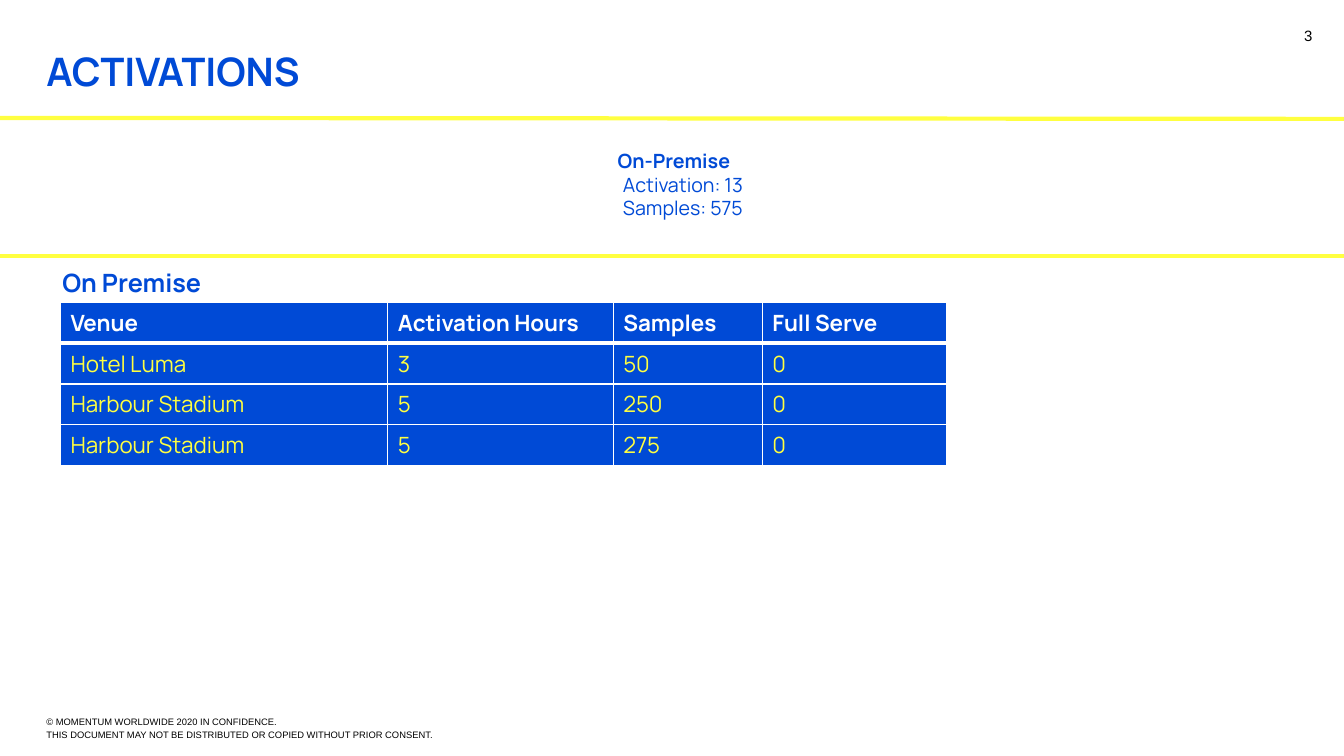
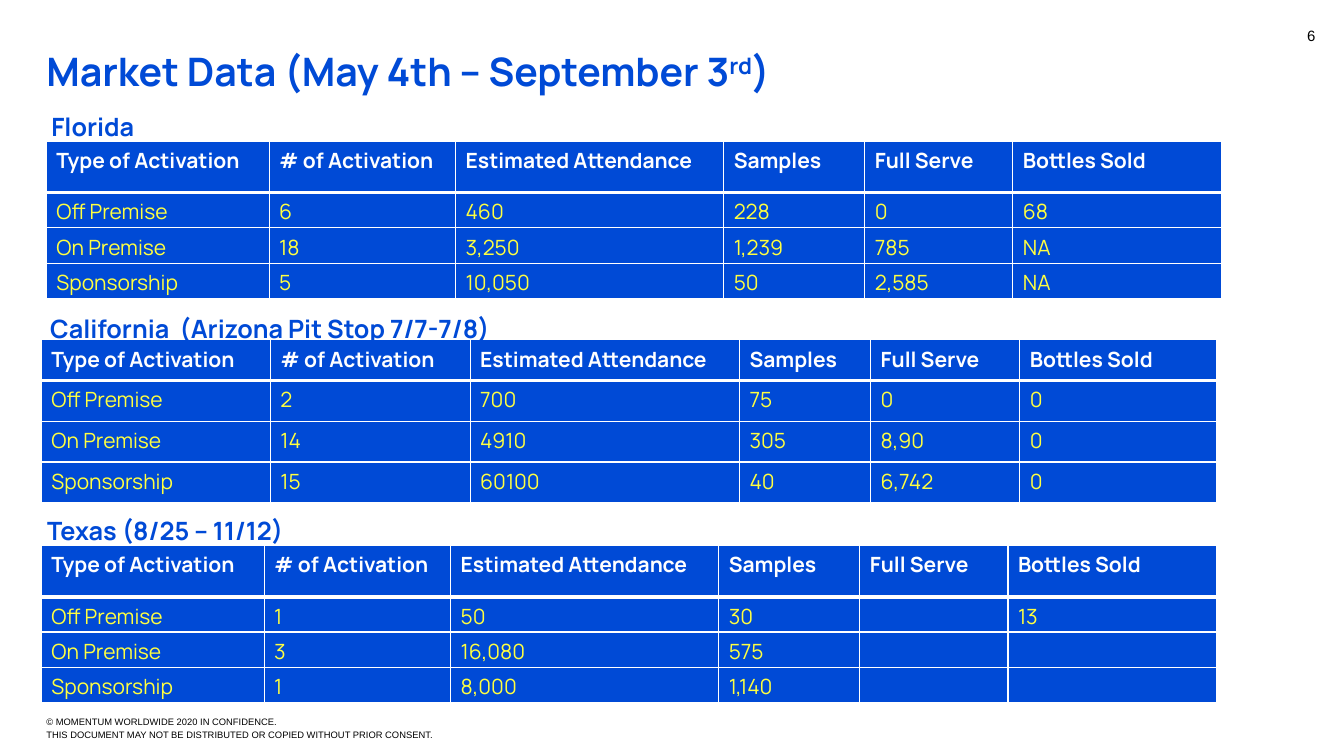
"""Build the activation summary and market data slides."""
import pptx
import pptx.dml.color
import pptx.enum.shapes
import pptx.enum.text
import pptx.oxml
import pptx.oxml.ns
import pptx.util

COLORS = {"blue": "004AD6", "yellow": "FFFF40", "white": "FFFFFF", "black": "000000"}
FONT, SMALL_FONT = "Manrope", "Arial"
WIDTH, HEIGHT = pptx.util.Inches(13.333), pptx.util.Inches(7.5)
ALIGN = pptx.enum.text.PP_ALIGN
ANCHOR = pptx.enum.text.MSO_ANCHOR
MARGIN = 3.45

MARKET_HEADER = ["Type of Activation", "# of Activation", "Estimated Attendance",
                 "Samples", "Full Serve", "Bottles Sold"]
MARKET_COLS = [2.21, 1.85, 2.66, 1.4, 1.47, 2.07]
TALL_HEADER_ROWS = [6.8, 4.67, 4.67, 4.67]
EVEN_ROWS = [5.4] * 4

MARKETS = [
    {"name": "Florida", "name_at": (3.08, 14), "table_at": (MARGIN, 18.67),
     "cols": MARKET_COLS, "rows": TALL_HEADER_ROWS,
     "data": [["Off Premise", "6", "460", "228", "0", "68"],
              ["On Premise", "18", "3,250", "1,239", "785", "NA"],
              ["Sponsorship", "5", "10,050", "50", "2,585", "NA"]]},
    {"name": "California  (Arizona Pit Stop 7/7-7/8)", "name_at": (3, 40.8),
     "table_at": (3.08, 44.93),
     "cols": [2.27, 1.98, 2.67, 1.3, 1.48, 1.95], "rows": EVEN_ROWS,
     "data": [["Off Premise", "2", "700", "75", "0", "0"],
              ["On Premise", "14", "4910", "305", "8,90", "0"],
              ["Sponsorship", "15", "60100", "40", "6,742", "0"]]},
    {"name": "Texas (8/25 – 11/12)", "name_at": (2.78, 67.47), "table_at": (3.08, 72.13),
     "cols": MARKET_COLS, "rows": TALL_HEADER_ROWS,
     "data": [["Off Premise", "1", "50", "30", "", "13"],
              ["On Premise", "3", "16,080", "575", "", ""],
              ["Sponsorship", "1", "8,000", "1,140", "", ""]]},
]


def across(share):
    """Turn a percentage of the slide's width into a length."""
    return int(WIDTH * share / 100)


def down(share):
    """Turn a percentage of the slide's height into a length."""
    return int(HEIGHT * share / 100)


def rgb(name):
    """Look up a named colour."""
    return pptx.dml.color.RGBColor.from_string(COLORS[name])


def add_run(p, text, size, color="blue", bold=False, font=FONT, baseline=0):
    """Append one styled run to a paragraph."""
    r = p.add_run()
    r.text = text
    r.font.size = pptx.util.Pt(size)
    r.font.name = font
    r.font.bold = bold
    r.font.color.rgb = rgb(color)
    if baseline:
        r._r.get_or_add_rPr().set("baseline", str(baseline * 1000))


def add_box(s, x, y, w, h, inset=(0.1, 0.05), anchor=ANCHOR.TOP):
    """Add a wrapping text box and return its text frame."""
    tf = s.shapes.add_textbox(across(x), down(y), across(w), down(h)).text_frame
    tf.word_wrap = True
    tf.vertical_anchor = anchor
    tf.margin_left = tf.margin_right = pptx.util.Inches(inset[0])
    tf.margin_top = tf.margin_bottom = pptx.util.Inches(inset[1])
    return tf


def add_title(s, *parts):
    """Add the slide title from (text, baseline) parts."""
    p = add_box(s, MARGIN, 7.2, 93.15, 13.33, (0, 0)).paragraphs[0]
    p.line_spacing = 0.85
    for text, baseline in parts:
        add_run(p, text, 28, bold=True, baseline=baseline)


def add_footer(s):
    """Add the two-line confidentiality notice."""
    p = add_box(s, MARGIN, 92.8, 30.08, 6.93, (0, 0), ANCHOR.MIDDLE).paragraphs[0]
    p.line_spacing = 1.15
    add_run(p, "© MOMENTUM WORLDWIDE 2020 IN CONFIDENCE.", 6.7, "black", font=SMALL_FONT)
    p.add_line_break()
    add_run(p, "THIS DOCUMENT MAY NOT BE DISTRIBUTED OR COPIED WITHOUT PRIOR CONSENT.",
            6.7, "black", font=SMALL_FONT)


def add_page_number(s, number, inset):
    """Add the page number at the top right."""
    p = add_box(s, 75.9, 2, 22.5, 5.33, inset, ANCHOR.MIDDLE).paragraphs[0]
    p.alignment = ALIGN.RIGHT
    p.space_after = pptx.util.Pt(6)
    add_run(p, number, 10.7, "black", font=SMALL_FONT)


def add_heading(s, text, x, y):
    """Add a heading above a table."""
    p = add_box(s, x, y, 37, 5.33).paragraphs[0]
    add_run(p, text, 18, bold=True)


def add_summary(s, heading, lines):
    """Add the centred totals under a bold heading."""
    tf = add_box(s, 35.33, 18, 29.63, 13.07, (0.13, 0.13))
    p = tf.paragraphs[0]
    p.alignment = ALIGN.CENTER
    add_run(p, heading, 14, bold=True)
    for line in lines:
        p = tf.add_paragraph()
        p.alignment = ALIGN.CENTER
        pPr = p._p.get_or_add_pPr()
        pPr.set("marL", str(pptx.util.Inches(0.18)))
        pPr.set("indent", "0")
        add_run(p, line, 14)


def add_rule(s, y1, y2):
    """Add a yellow line across the slide."""
    sp = s.shapes.add_connector(pptx.enum.shapes.MSO_CONNECTOR.STRAIGHT,
                                0, down(y1), WIDTH, down(y2))
    sp.line.color.rgb = rgb("yellow")
    sp.line.width = pptx.util.Pt(3)
    pptx.oxml.ns.qn("a:effectLst")
    sp._element.spPr.append(pptx.oxml.parse_xml(
        f'<a:effectLst {pptx.oxml.ns.nsdecls("a")}/>'))


def set_borders(cell, top, bottom):
    """Give a cell white borders, with top and bottom widths in points."""
    tcPr = cell._tc.get_or_add_tcPr()
    widths = {"lnL": 1, "lnR": 1, "lnT": top, "lnB": bottom}
    for i, (tag, width) in enumerate(widths.items()):
        tcPr.insert(i, pptx.oxml.parse_xml(
            f'<a:{tag} {pptx.oxml.ns.nsdecls("a")} w="{pptx.util.Pt(width)}">'
            f'<a:solidFill><a:srgbClr val="{COLORS["white"]}"/></a:solidFill></a:{tag}>'))


def fill_cell(cell, text, size, row):
    """Style one table cell; row 0 is the header."""
    cell.fill.solid()
    cell.fill.fore_color.rgb = rgb("blue")
    set_borders(cell, top=3 if row == 1 else 1, bottom=3 if row == 0 else 1)
    p = cell.text_frame.paragraphs[0]
    if text:
        add_run(p, text, size, "yellow" if row else "white", bold=row == 0)
    else:
        p._p.append(pptx.oxml.parse_xml(
            f'<a:endParaRPr {pptx.oxml.ns.nsdecls("a")} sz="{size * 100}">'
            f'<a:latin typeface="{FONT}"/></a:endParaRPr>'))


def add_data_table(s, x, y, w, cols, rows, data, size):
    """Add a table whose columns share the width w in proportion to cols."""
    table = s.shapes.add_table(len(rows), len(cols), across(x), down(y),
                               across(w), down(sum(rows))).table
    for column, weight in zip(table.columns, cols):
        column.width = across(w * weight / sum(cols))
    for i, (height, texts) in enumerate(zip(rows, data)):
        table.rows[i].height = down(height)
        for j, text in enumerate(texts):
            fill_cell(table.cell(i, j), text, size, i)


def add_slide(prs, number, inset, *title):
    """Add a blank slide with the shared title, footer and page number."""
    s = prs.slides.add_slide(prs.slide_layouts[6])
    add_footer(s)
    add_title(s, *title)
    add_page_number(s, number, inset)
    return s


def build_activations(prs):
    """Build the activations slide."""
    s = add_slide(prs, "3", (0.1, 0.05), ("ACTIVATIONS", 0))
    add_summary(s, "On-Premise", ["Activation: 13", "Samples: 575"])
    add_rule(s, 15.6, 15.73)
    add_rule(s, 33.87, 33.87)
    add_data_table(s, 4.5, 40, 65.93, [3.25, 2.24, 1.48, 1.83], EVEN_ROWS,
                   [["Venue", "Activation Hours", "Samples", "Full Serve"],
                    ["Hotel Luma", "3", "50", "0"],
                    ["Harbour Stadium", "5", "250", "0"],
                    ["Harbour Stadium", "5", "275", "0"]], 16)
    add_heading(s, "On Premise", 3.9, 34.67)


def build_market_data(prs):
    """Build the market data slide."""
    s = add_slide(prs, "6", (0.07, 0.04),
                  ("Market Data (May 4th – September 3", 0), ("rd", 30), (")", 0))
    for market in MARKETS:
        add_data_table(s, *market["table_at"], 87.45, market["cols"], market["rows"],
                       [MARKET_HEADER] + market["data"], 15)
        add_heading(s, market["name"], *market["name_at"])


def main():
    """Build and save the presentation."""
    prs = pptx.Presentation()
    prs.slide_width, prs.slide_height = WIDTH, HEIGHT
    build_activations(prs)
    build_market_data(prs)
    prs.save("out.pptx")


if __name__ == "__main__":
    main()
